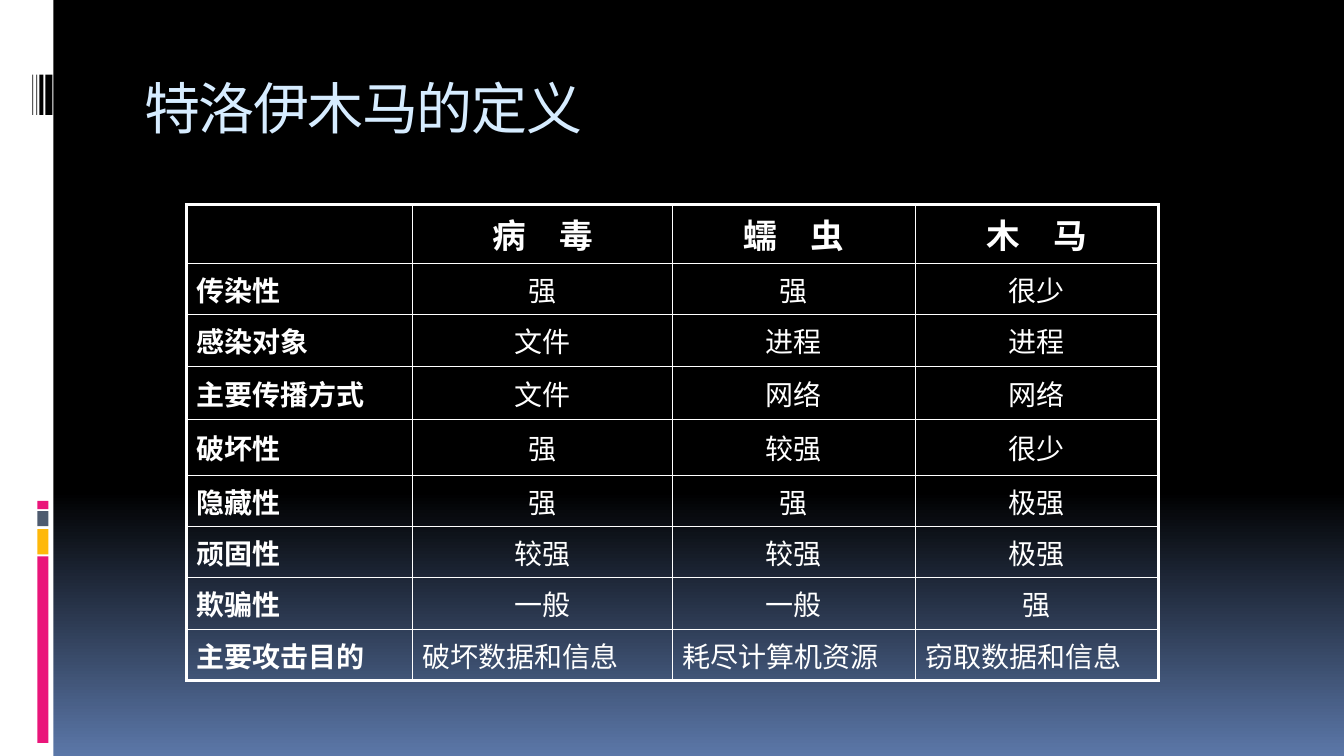
import pptx
import pptx.dml.color
import pptx.enum.shapes
import pptx.enum.text
import pptx.oxml
import pptx.oxml.ns
import pptx.util

Inches = pptx.util.Inches
Pt = pptx.util.Pt
RGB = pptx.dml.color.RGBColor.from_string
ALIGN = pptx.enum.text.PP_ALIGN
MIDDLE = pptx.enum.text.MSO_ANCHOR.MIDDLE

COLORS = {
    "black": "000000", "white": "FFFFFF", "blue": "5B77A8", "title": "D6ECFF",
    "pink": "EA157A", "amber": "FEB80A", "slate": "4E5B6F",
}


def format_run(span, size, face, color, bold=False):
    span.font.size = Pt(size)
    span.font.name = face
    span.font.bold = bold
    span.font.color.rgb = RGB(COLORS[color])
    east_asian = pptx.oxml.parse_xml(f'<a:ea {pptx.oxml.ns.nsdecls("a")} typeface="{face}"/>')
    span.font._element.find(pptx.oxml.ns.qn("a:latin")).addnext(east_asian)


def add_border(cell, side, points):
    line = pptx.oxml.parse_xml(
        f'<a:ln{side} {pptx.oxml.ns.nsdecls("a")} w="{Pt(points)}"><a:solidFill>'
        f'<a:srgbClr val="{COLORS["white"]}"/></a:solidFill></a:ln{side}>')
    cell._tc.get_or_add_tcPr().append(line)


deck = pptx.Presentation()
deck.slide_width = Inches(13.33)
deck.slide_height = Inches(7.5)
page = deck.slides.add_slide(deck.slide_layouts[5])

backdrop = page.background.fill
backdrop.gradient()
backdrop.gradient_angle = 270
for stop, position, color in zip(backdrop.gradient_stops, (0.65, 1), ("black", "blue")):
    stop.position = position
    stop.color.rgb = RGB(COLORS[color])

side_bars = [
    (0, 0, 0.53, 7.5, "white"),
    (0.37, 5.52, 0.11, 1.85, "pink"),
    (0.37, 5.25, 0.11, 0.25, "amber"),
    (0.37, 5.07, 0.11, 0.15, "slate"),
    (0.37, 4.97, 0.11, 0.08, "pink"),
]
barcode = [(0.45, 0.07), (0.39, 0.04), (0.36, 0.01), (0.32, 0.01)]
side_bars += [(left, 0.74, width, 0.4, "black") for left, width in barcode]
for left, top, width, height, color in side_bars:
    bar = page.shapes.add_shape(
        pptx.enum.shapes.MSO_SHAPE.RECTANGLE,
        Inches(left), Inches(top), Inches(width), Inches(height))
    bar.shadow.inherit = False
    bar.fill.solid()
    bar.fill.fore_color.rgb = RGB(COLORS[color])
    bar.line.fill.background()

title = page.shapes.title
title.left, title.top = Inches(1.33), Inches(0.56)
title.width, title.height = Inches(11.33), Inches(1)
title.text_frame.text = "特洛伊木马的定义"
title.text_frame.vertical_anchor = MIDDLE
para = title.text_frame.paragraphs[0]
para.alignment = ALIGN.LEFT
format_run(para.runs[0], 40, "Noto Sans Mono", "title")
para.runs[0].font._element.set("spc", "-100")

comparison = [
    ("", "病　毒", "蠕　虫", "木　马"),
    ("传染性", "强", "强", "很少"),
    ("感染对象", "文件", "进程", "进程"),
    ("主要传播方式", "文件", "网络", "网络"),
    ("破坏性", "强", "较强", "很少"),
    ("隐藏性", "强", "强", "极强"),
    ("顽固性", "较强", "较强", "极强"),
    ("欺骗性", "一般", "一般", "强"),
    ("主要攻击目的", "破坏数据和信息", "耗尽计算机资源", "窃取数据和信息"),
]
column_widths = [2.24, 2.58, 2.41, 2.41]
row_heights = [0.58, 0.51, 0.51, 0.53, 0.55, 0.51, 0.51, 0.51, 0.51]
last_row = len(row_heights) - 1
last_column = len(column_widths) - 1

table = page.shapes.add_table(
    len(row_heights), len(column_widths), Inches(1.85), Inches(2.03),
    Inches(sum(column_widths)), Inches(sum(row_heights))).table
table.first_row = False
table.horz_banding = False
for column, width in zip(table.columns, column_widths):
    column.width = Inches(width)
for row, height in zip(table.rows, row_heights):
    row.height = Inches(height)

for r, entries in enumerate(comparison):
    for c, entry in enumerate(entries):
        cell = table.cell(r, c)
        edges = {"L": c == 0, "R": c == last_column, "T": r == 0, "B": r == last_row}
        for side, outer in edges.items():
            add_border(cell, side, 2.25 if outer else 1)
        cell.fill.background()
        cell.vertical_anchor = MIDDLE
        cell.text_frame.text = entry
        para = cell.text_frame.paragraphs[0]
        para.alignment = ALIGN.LEFT if c == 0 or r == last_row else ALIGN.CENTER
        for span in para.runs:
            if r == 0:
                format_run(span, 24, "Noto Sans CJK KR", "white", True)
            else:
                format_run(span, 20, "Noto Sans CJK SC", "white", c == 0)

deck.save("out.pptx")
